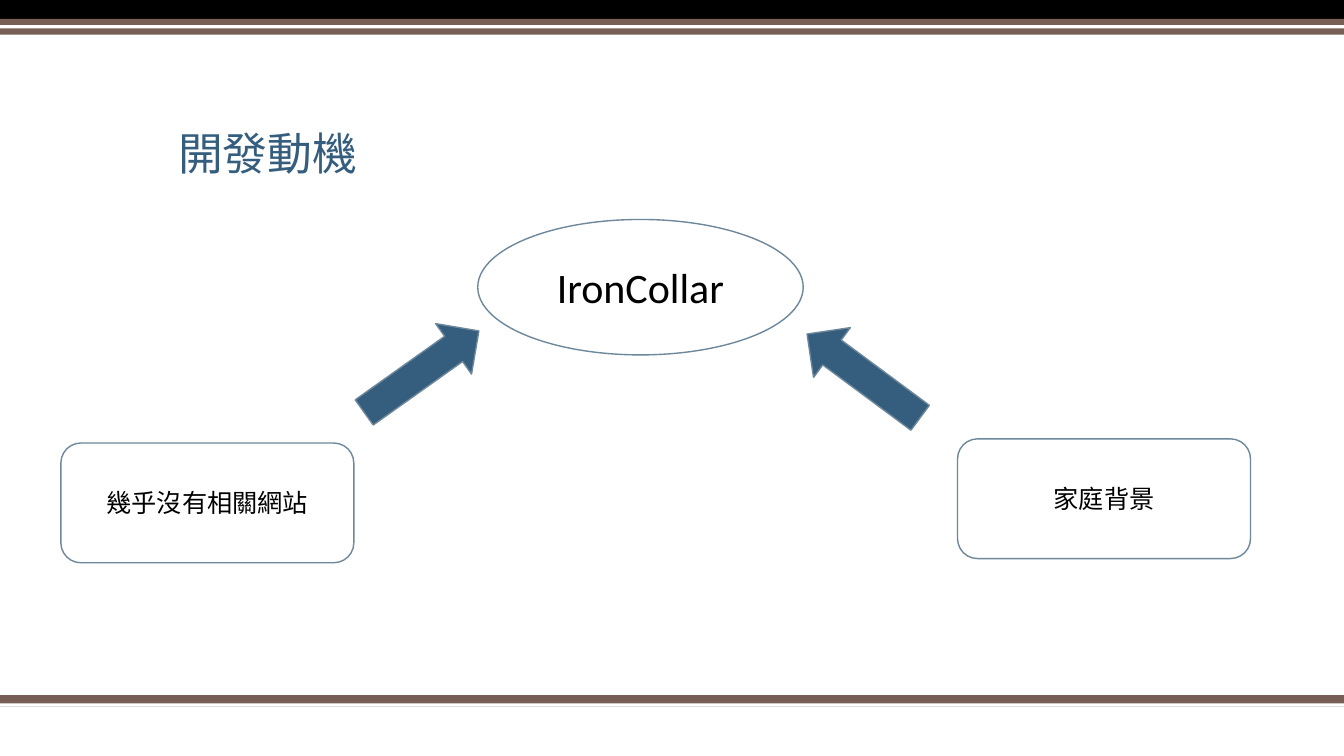
import pptx
import pptx.util
import pptx.dml.color
import pptx.enum.shapes
import pptx.enum.text
import lxml.etree

PX = 9525
WIDTH, HEIGHT = 1280, 720
BROWN = pptx.dml.color.RGBColor(0x77, 0x5F, 0x55)
BLUE = pptx.dml.color.RGBColor(0x35, 0x5D, 0x7E)
OUTLINE = pptx.dml.color.RGBColor(0x6D, 0x87, 0x9B)
WHITE = pptx.dml.color.RGBColor(0xFF, 0xFF, 0xFF)
BLACK = pptx.dml.color.RGBColor(0, 0, 0)
CJK_FONT = "Noto Sans CJK TC"
KIND = pptx.enum.shapes.MSO_SHAPE
ALIGN = pptx.enum.text.PP_ALIGN
ANCHOR = pptx.enum.text.MSO_ANCHOR

presentation = pptx.Presentation()
presentation.slide_width = WIDTH * PX
presentation.slide_height = HEIGHT * PX
slide = presentation.slides.add_slide(presentation.slide_layouts[5])


def add_shape(kind, box, fill, line=None, rotation=0):
    shape = slide.shapes.add_shape(kind, *(length * PX for length in box))
    shape.shadow.inherit = False
    shape.rotation = rotation
    shape.fill.solid()
    shape.fill.fore_color.rgb = fill
    if line is None:
        shape.line.fill.background()
    else:
        shape.line.color.rgb = line
        shape.line.width = pptx.util.Pt(1)
    return shape


def write_text(shape, text, size, color, font="Calibri", align=ALIGN.CENTER,
               anchor=ANCHOR.MIDDLE, line_spacing=1.0):
    frame = shape.text_frame
    frame.word_wrap = True
    frame.auto_size = pptx.enum.text.MSO_AUTO_SIZE.NONE
    frame.vertical_anchor = anchor
    paragraph = frame.paragraphs[0]
    paragraph.alignment = align
    paragraph.line_spacing = line_spacing
    run = paragraph.add_run()
    run.text = text
    run.font.size = pptx.util.Pt(size)
    run.font.name = font
    run.font.color.rgb = color
    east_asian = lxml.etree.SubElement(run.font._element, pptx.oxml.ns.qn("a:ea"))
    east_asian.set("typeface", CJK_FONT)


# Bands across the bottom and top edges
for top, height, color in [
    (662, 11, BROWN),
    (670, 3, WHITE),
    (0, 18, BLACK),
    (18, 15, BROWN),
    (24, 3, WHITE),
]:
    add_shape(KIND.RECTANGLE, (0, top, WIDTH, height), color)

title = slide.shapes.title
title.left, title.top, title.width, title.height = (
    length * PX for length in (160, 64, 960, 112))
write_text(title, "開發動機", 32, BLUE, font=CJK_FONT, align=ALIGN.LEFT,
           anchor=ANCHOR.BOTTOM, line_spacing=0.9)

# The project and the two motives behind it
for kind, box, text, size in [
    (KIND.OVAL, (455, 209, 310, 129), "IronCollar", 30),
    (KIND.ROUNDED_RECTANGLE, (912, 418, 279, 114), "家庭背景", 18),
    (KIND.ROUNDED_RECTANGLE, (58, 422, 279, 114), "幾乎沒有相關網站", 18),
]:
    write_text(add_shape(kind, box, WHITE, OUTLINE), text, size, BLACK)

for left, top, rotation in [(372, 287, 234.6), (793, 291, 126.5)]:
    add_shape(KIND.DOWN_ARROW, (left, top, 59, 134), BLUE, OUTLINE, rotation)

presentation.save("out.pptx")
